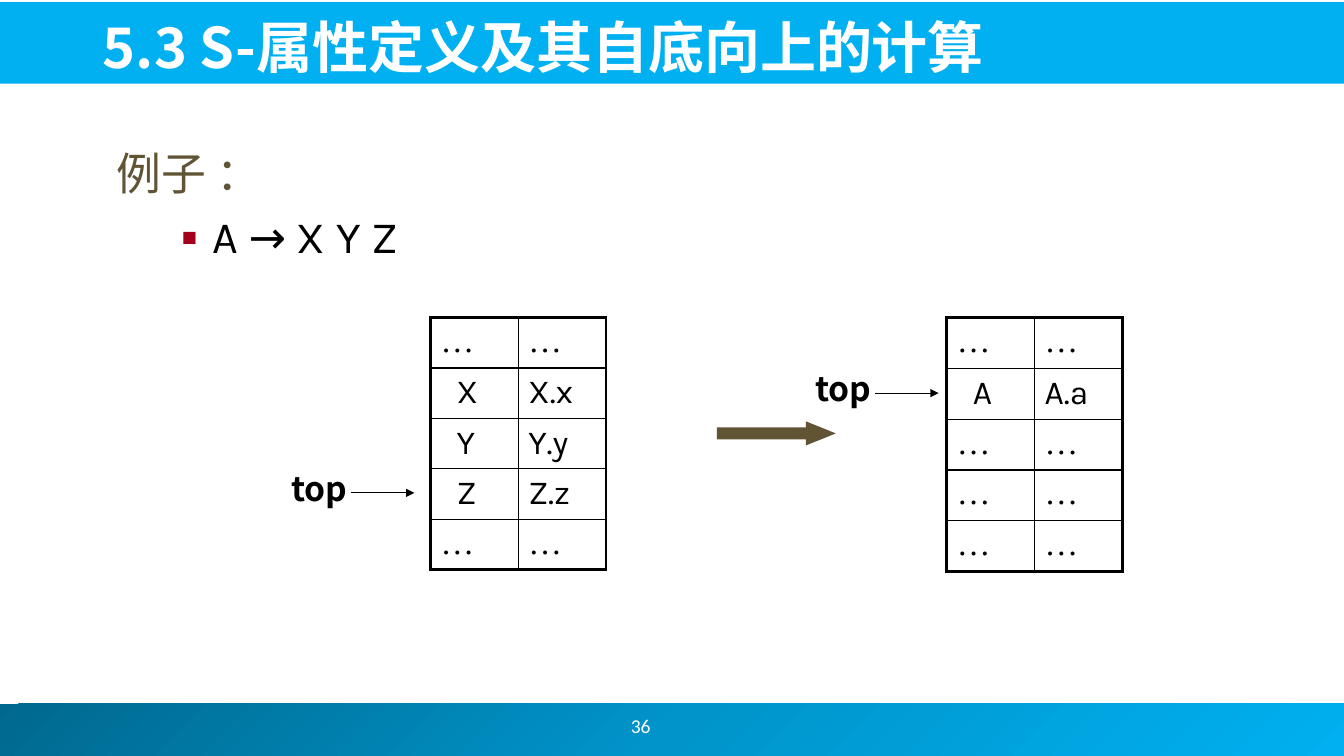
"""Build the slide on S-attributed definitions and their bottom-up stack."""
from copy import deepcopy
from typing import NamedTuple

from lxml import etree
from pptx import Presentation
from pptx import util as u
from pptx.dml import color as c
from pptx.enum import shapes as s, text as t
from pptx.oxml import ns

WHITE = c.RGBColor(0xFF, 0xFF, 0xFF)
BLACK = c.RGBColor(0, 0, 0)
SKY = c.RGBColor(0x00, 0xB0, 0xF0)
MID = c.RGBColor(0x00, 0x94, 0xCA)
DEEP = c.RGBColor(0x00, 0x68, 0x8E)
OLIVE = c.RGBColor(0x60, 0x54, 0x35)
RED = c.RGBColor(0xA4, 0x00, 0x1D)
NOTO, KARLA, TIMES = "Noto Sans CJK JP", "Karla", "Times New Roman"
DOTS = ("…", "…")


class Box(NamedTuple):
    x: float
    y: float
    w: float
    h: float

    def spans(self) -> list:
        return [u.Inches(n) for n in self]


class Stack(NamedTuple):
    box: Box
    rows: list


class Top(NamedTuple):
    x: float
    y: float


STACKS = [
    Stack(Box(4.27, 3.15, 1.74, 2.15),
          [DOTS, ("X", "X.x"), ("Y", "Y.y"), ("Z", "Z.z"), DOTS]),
    Stack(Box(9.39, 3.15, 1.74, 2.52), [DOTS, ("A", "A.a"), DOTS, DOTS, DOTS]),
]
TOPS = [Top(2.77, 4.61), Top(7.97, 3.62)]


def style(item, form: dict) -> None:
    for key, val in form.items():
        setattr(item, key, val)


def node(root, tag: str, **attrs: str):
    part = etree.SubElement(root, ns.qn(tag))
    for key, val in attrs.items():
        part.set(key, val)
    return part


def write(para, words: str, face: str, size: float, hue: c.RGBColor, bold: bool = False) -> None:
    run = para.add_run()
    run.text = words
    style(run.font, {"name": face, "size": u.Pt(size), "bold": bold})
    run.font.color.rgb = hue
    node(run.font._element, "a:ea", typeface=face)


def place(shape, box: Box) -> None:
    style(shape, dict(zip(("left", "top", "width", "height"), box.spans())))


def add_form(slide, kind, box: Box, hue: c.RGBColor):
    shape = slide.shapes.add_shape(kind, *box.spans())
    shape.shadow.inherit = False
    shape.fill.solid()
    shape.fill.fore_color.rgb = hue
    shape.line.fill.background()
    return shape


def add_bars(slide) -> None:
    foot = add_form(slide, s.MSO_SHAPE.RECTANGLE, Box(-0.05, 6.98, 13.39, 0.52), SKY)
    head = add_form(slide, s.MSO_SHAPE.RECTANGLE, Box(-0.02, 0.02, 13.36, 0.81), SKY)
    foot.fill.gradient()
    foot.fill.gradient_angle = 315
    first = foot.fill._xPr.find(".//" + ns.qn("a:gs"))
    first.addnext(deepcopy(first))
    for stop, hue, spot in zip(foot.fill.gradient_stops, (DEEP, MID, SKY), (0, 0.5, 1)):
        stop.color.rgb = hue
        stop.position = spot
    for bar in (head, foot):
        slide.shapes._spTree.insert(2, bar._element)


def add_label(slide, box: Box, words: str, face: str, size: float,
              hue: c.RGBColor, anchor, bold: bool = False) -> None:
    frame = slide.shapes.add_textbox(*box.spans()).text_frame
    sides = dict.fromkeys(("margin_left", "margin_right", "margin_top", "margin_bottom"), 0)
    style(frame, {"word_wrap": True, "vertical_anchor": anchor, **sides})
    frame.paragraphs[0].alignment = t.PP_ALIGN.CENTER
    write(frame.paragraphs[0], words, face, size, hue, bold)


def add_title(slide) -> None:
    title = slide.shapes.title
    place(title, Box(0.92, 0.05, 11.97, 0.79))
    frame = title.text_frame
    style(frame, {"vertical_anchor": t.MSO_ANCHOR.BOTTOM, "auto_size": t.MSO_AUTO_SIZE.NONE})
    frame.paragraphs[0].alignment = t.PP_ALIGN.LEFT
    write(frame.paragraphs[0], "5.3 S-属性定义及其自底向上的计算", NOTO, 40, WHITE, True)


def add_body(slide) -> None:
    body = slide.placeholders[1]
    place(body, Box(1.06, 1.29, 4.5, 1.47))
    frame = body.text_frame
    frame.auto_size = t.MSO_AUTO_SIZE.NONE
    lead, rule = frame.paragraphs[0], frame.add_paragraph()
    style(lead, {"line_spacing": 1.2, "space_before": u.Pt(0)})
    style(rule, {"level": 1, "space_before": u.Pt(6.4)})
    for para, left, hang in ((lead, 0, 0), (rule, 0.92, -0.42)):
        props = para._p.get_or_add_pPr()
        props.set("marL", str(u.Inches(left)))
        props.set("indent", str(u.Inches(hang)))
    node(lead._p.pPr, "a:buNone")
    node(node(rule._p.pPr, "a:buClr"), "a:srgbClr", val=str(RED))
    node(rule._p.pPr, "a:buFont", typeface=NOTO)
    node(rule._p.pPr, "a:buChar", char="▪")
    write(lead, "例子 ：", NOTO, 32, OLIVE)
    write(rule, "A → X Y Z", KARLA, 32, BLACK)


def edge(cell, thick: dict) -> None:
    props = cell._tc.get_or_add_tcPr()
    for spot, (side, bold) in enumerate(thick.items()):
        line = etree.Element(ns.qn("a:ln" + side))
        line.set("w", str(u.Pt(2.25 if bold else 1)))
        node(node(line, "a:solidFill"), "a:srgbClr", val=str(BLACK))
        props.insert(spot, line)


def add_stack(slide, stack: Stack) -> None:
    last = len(stack.rows) - 1
    grid = slide.shapes.add_table(last + 1, 2, *stack.box.spans()).table
    style(grid, {"first_row": False, "horz_banding": False})
    for i, row in enumerate(stack.rows):
        for j, words in enumerate(row):
            cell = grid.cell(i, j)
            cell.fill.solid()
            cell.fill.fore_color.rgb = WHITE
            edge(cell, {"L": j == 0, "R": j == 1, "T": i == 0, "B": i == last})
            dots = words == "…"
            cell.margin_left = u.Inches(0.1 if dots or j else 0.26)
            write(cell.text_frame.paragraphs[0], words, TIMES if dots else KARLA, 24, BLACK)


def add_top(slide, top: Top) -> None:
    level = top.y + 0.28
    ends = [u.Inches(n) for n in (top.x + 0.71, level, top.x + 1.34, level)]
    link = slide.shapes.add_connector(s.MSO_CONNECTOR.STRAIGHT, *ends)
    link.line.color.rgb = BLACK
    link.line.width = u.Pt(0.75)
    node(link.line._get_or_add_ln(), "a:tailEnd", type="triangle")
    node(link._element.spPr, "a:effectLst")
    add_label(slide, Box(top.x, top.y, 0.79, 0.43), "top", NOTO, 24, BLACK,
              t.MSO_ANCHOR.BOTTOM, True)


def main() -> None:
    deck = Presentation()
    style(deck, {"slide_width": u.Inches(13.33), "slide_height": u.Inches(7.5)})
    slide = deck.slides.add_slide(deck.slide_layouts[1])
    add_bars(slide)
    add_label(slide, Box(4.91, 6.95, 2.89, 0.5), "36", "Calibri", 14, WHITE, t.MSO_ANCHOR.MIDDLE)
    add_title(slide)
    add_body(slide)
    for stack in STACKS:
        add_stack(slide, stack)
    arrow = add_form(slide, s.MSO_SHAPE.RIGHT_ARROW, Box(7.11, 4.18, 1.18, 0.24), OLIVE)
    arrow.adjustments[1] = 1.24
    for top in TOPS:
        add_top(slide, top)
    deck.save("out.pptx")


if __name__ == "__main__":
    main()
